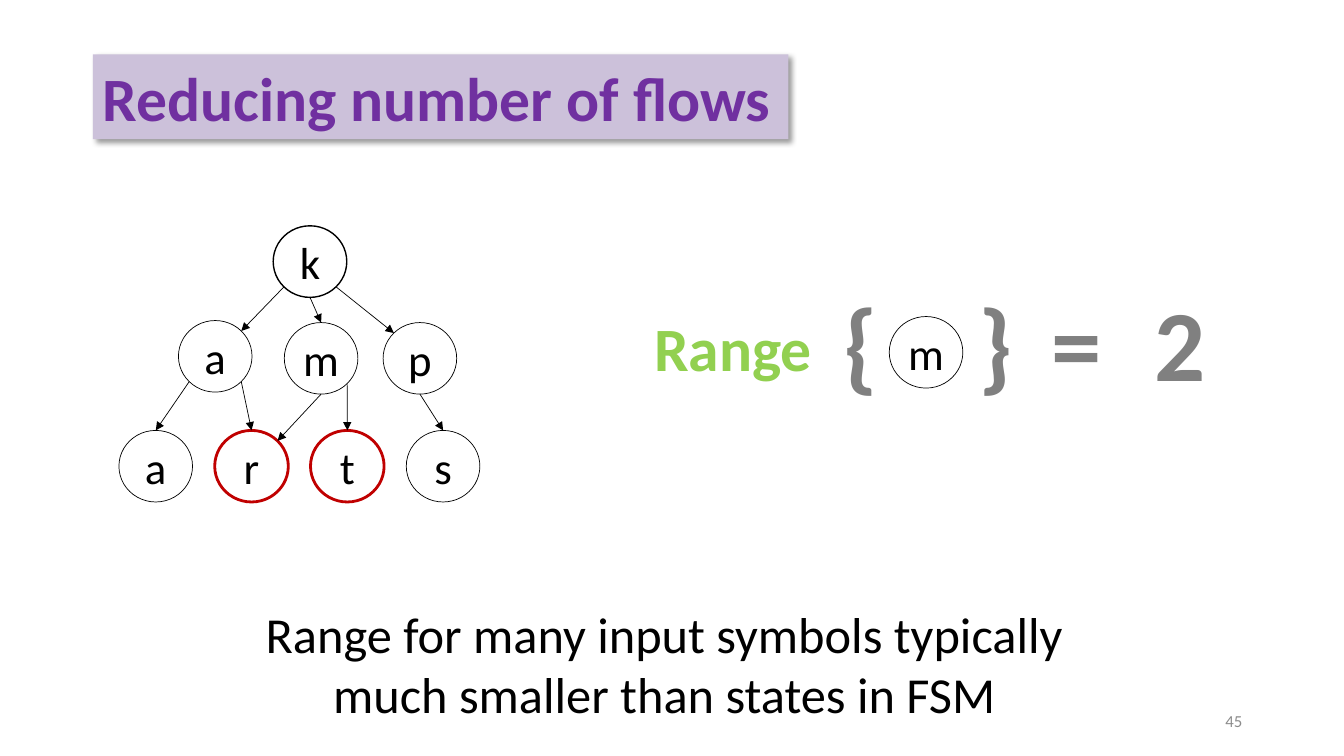
from dataclasses import dataclass
from math import cos, radians, sin

from lxml import etree
from pptx import Presentation
from pptx.dml.color import RGBColor
from pptx.enum import shapes, text
from pptx.oxml import ns
from pptx.util import Inches, Pt


@dataclass(frozen=True)
class Theme:
    """Colours, type sizes and measures used on the slide."""
    font: str = "Calibri"
    ink: str = "000000"
    highlight: str = "C00000"
    title_fill: str = "CCC1DA"
    title_ink: str = "7030A0"
    range_ink: str = "92D050"
    symbol_ink: str = "808080"
    number_ink: str = "8C8C8C"
    symbol_size: int = 72
    title_size: int = 44
    body_size: int = 36
    node_size: int = 32
    number_size: int = 12
    node_width: float = 0.73
    node_height: float = 0.71
    thin: float = 0.5


THEME = Theme()
SITE_ANGLES = {"right": 0, "bottom right": 45, "bottom": 90, "bottom left": 135,
               "top left": 225, "top": 270, "top right": 315}
NODES = {
    "root k": (1.53, 0, 1, THEME.ink),
    "middle a": (0.59, 0.94, THEME.thin, THEME.ink),
    "middle m": (1.64, 0.96, THEME.thin, THEME.ink),
    "middle p": (2.62, 0.96, THEME.thin, THEME.ink),
}
LEAVES = {"leaf a": False, "leaf r": True, "leaf t": True, "leaf s": False}
LEAF_PITCH, LEAF_TOP = 0.95, 2.03
EDGES = [
    ("root k", "bottom left", "middle a", "top right"),
    ("root k", "bottom", "middle m", "top"),
    ("root k", "bottom right", "middle p", "top left"),
    ("middle a", "bottom left", "leaf a", "top"),
    ("middle a", "bottom right", "leaf r", "top"),
    ("middle m", "bottom", "leaf r", "top right"),
    ("middle m", "bottom right", "leaf t", "top"),
    ("middle p", "bottom", "leaf s", "top"),
]


def color(value):
    """Turn a hex value into a colour."""
    return RGBColor.from_string(value)


def write(shape, words, size, ink, bold=False, align="LEFT", anchor="TOP", wrap=True):
    """Put one formatted run into a shape."""
    frame = shape.text_frame
    frame.word_wrap = wrap
    frame.auto_size = text.MSO_AUTO_SIZE.NONE
    frame.vertical_anchor = text.MSO_ANCHOR[anchor]
    paragraph = frame.paragraphs[0]
    paragraph.alignment = text.PP_ALIGN[align]
    run = paragraph.add_run()
    run.text = words
    run.font.name, run.font.size, run.font.bold = THEME.font, Pt(size), bold
    run.font.color.rgb = color(ink)


def add_label(parent, box, *args, **options):
    """Add a text box at the given box."""
    write(parent.add_textbox(*map(Inches, box)), *args, **options)


def add_node(parent, left, top, letter, weight, outline):
    """Add one round state with its letter."""
    node = parent.add_shape(shapes.MSO_SHAPE.OVAL, Inches(left), Inches(top),
                            Inches(THEME.node_width), Inches(THEME.node_height))
    node.shadow.inherit = False
    node.fill.background()
    node.line.color.rgb, node.line.width = color(outline), Pt(weight)
    write(node, letter, THEME.node_size, THEME.ink, align="CENTER", anchor="MIDDLE", wrap=False)


def site(corner, name):
    """Find a connection point on a node's outline."""
    angle = radians(SITE_ANGLES[name])
    return (Inches(corner[0] + THEME.node_width / 2 * (1 + cos(angle))),
            Inches(corner[1] + THEME.node_height / 2 * (1 + sin(angle))))


def add_arrow(parent, start, end):
    """Add a thin arrow between two points."""
    arrow = parent.add_connector(shapes.MSO_CONNECTOR.STRAIGHT, *start, *end)
    arrow.line.color.rgb, arrow.line.width = color(THEME.ink), Pt(THEME.thin)
    etree.SubElement(arrow.line._get_or_add_ln(), ns.qn("a:tailEnd"), type="triangle")
    etree.SubElement(arrow._element.spPr, ns.qn("a:effectLst"))


def add_title(slide, box):
    """Format the title as a shaded banner with a soft shadow."""
    title = slide.shapes.title
    title.left, title.top, title.width, title.height = map(Inches, box)
    title.fill.solid()
    title.fill.fore_color.rgb = color(THEME.title_fill)
    write(title, "Reducing number of flows", THEME.title_size, THEME.title_ink, bold=True)
    effects = etree.SubElement(title._element.spPr, ns.qn("a:effectLst"))
    shadow = etree.SubElement(effects, ns.qn("a:outerShdw"), blurRad=str(Pt(4)),
                              dist=str(Pt(3)), dir="2700000", algn="tl", rotWithShape="0")
    black = etree.SubElement(shadow, ns.qn("a:srgbClr"), val=THEME.ink)
    etree.SubElement(black, ns.qn("a:alpha"), val="40000")


def add_state_graph(slide, left, top):
    """Draw the layered states and the arrows between them."""
    nodes = dict(NODES)
    for index, (name, reached) in enumerate(LEAVES.items()):
        style = (2, THEME.highlight) if reached else (THEME.thin, THEME.ink)
        nodes[name] = (index * LEAF_PITCH, LEAF_TOP, *style)
    corners = {}
    for name, (x, y, weight, outline) in nodes.items():
        corners[name] = (left + x, top + y)
        add_node(slide.shapes, *corners[name], name[-1], weight, outline)
    for source, leaving, target, entering in EDGES:
        add_arrow(slide.shapes, site(corners[source], leaving), site(corners[target], entering))


def add_range_equation(slide, left, top):
    """Draw the equation giving the range of one symbol."""
    group = slide.shapes.add_group_shape().shapes
    add_label(group, (left, top + 0.29, 1.78, 0.84), "Range", THEME.title_size,
              THEME.range_ink, bold=True, wrap=False)
    add_node(group, left + 2.43, top + 0.4, "m", THEME.thin, THEME.ink)
    for symbol, x, width in (("{", 1.88, 0.55), ("}", 3.22, 0.55),
                             ("=", 3.94, 0.71), ("2", 4.96, 0.71)):
        add_label(group, (left + x, top, width, 1.31), symbol, THEME.symbol_size,
                  THEME.symbol_ink, bold=True, wrap=False)


def build_slide(presentation):
    """Build the slide on reducing flows."""
    slide = presentation.slides.add_slide(presentation.slide_layouts[5])
    add_title(slide, (0.92, 0.54, 6.9, 0.84))
    add_state_graph(slide, 1.18, 2.24)
    add_range_equation(slide, 6.39, 2.74)
    add_label(slide.shapes, (2.13, 5.93, 8.92, 1.31),
              "Range for many input symbols typically much smaller than states in FSM",
              THEME.body_size, THEME.ink, align="CENTER")
    add_label(slide.shapes, (9.42, 6.95, 3, 0.4), "45", THEME.number_size,
              THEME.number_ink, align="RIGHT", anchor="MIDDLE")


def main():
    """Create and save the presentation."""
    presentation = Presentation()
    presentation.slide_width, presentation.slide_height = Inches(13.33), Inches(7.5)
    build_slide(presentation)
    presentation.save("out.pptx")


main()
